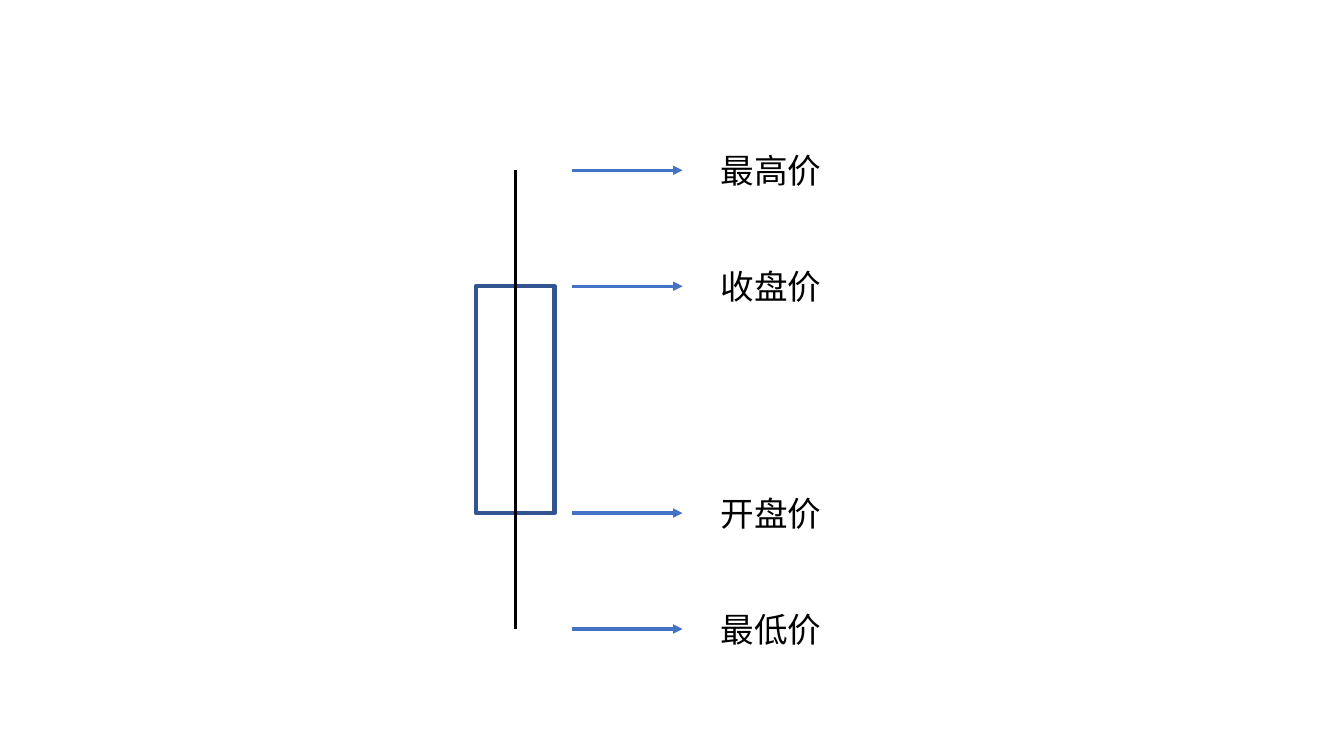
import pptx
import pptx.util
import pptx.dml.color
import pptx.enum.shapes
import pptx.enum.text
import pptx.oxml
import pptx.oxml.ns

PX = 9144


def color(code):
    return pptx.dml.color.RGBColor.from_string(code)


def add_tag(parent, tag, **attrs):
    node = parent.makeelement(pptx.oxml.ns.qn(tag), attrs)
    parent.append(node)
    return node


class Chart:
    font = "Noto Sans CJK SC"
    size = 24
    ink = "000000"
    paper = "FFFFFF"
    edge = "325491"
    blue = "4472C4"

    def __init__(self, deck):
        slide = deck.slides.add_slide(deck.slide_layouts[6])
        self.group = slide.shapes.add_group_shape().shapes

    def body(self, left, top, width, height):
        box = self.group.add_shape(
            pptx.enum.shapes.MSO_SHAPE.RECTANGLE,
            left * PX, top * PX, width * PX, height * PX)
        box.shadow.inherit = False
        box.fill.solid()
        box.fill.fore_color.rgb = color(self.paper)
        box.line.color.rgb = color(self.edge)
        box.line.width = pptx.util.Pt(3)

    def line(self, x1, y1, x2, y2, hue):
        line = self.group.add_connector(
            pptx.enum.shapes.MSO_CONNECTOR.STRAIGHT,
            x1 * PX, y1 * PX, x2 * PX, y2 * PX)
        line.line.color.rgb = color(hue)
        line.line.width = pptx.util.Pt(2.25)
        add_tag(line._element.spPr, "a:effectLst")
        return line

    def arrow(self, x1, x2, y):
        line = self.line(x1, y, x2, y, self.blue)
        add_tag(line.line._get_or_add_ln(), "a:tailEnd", type="triangle")

    def label(self, text, left, top, width, height):
        box = self.group.add_textbox(
            left * PX, top * PX, width * PX, height * PX)
        frame = box.text_frame
        frame.word_wrap = True
        frame.auto_size = pptx.enum.text.MSO_AUTO_SIZE.SHAPE_TO_FIT_TEXT
        frame.text = text
        para = frame.paragraphs[0]
        para.font.size = pptx.util.Pt(self.size)
        para.font.color.rgb = color(self.ink)
        para.font.name = self.font
        props = para._p.find(".//" + pptx.oxml.ns.qn("a:defRPr"))
        add_tag(props, "a:ea", typeface=self.font)


def main():
    deck = pptx.Presentation()
    deck.slide_width = 1333 * PX
    deck.slide_height = 750 * PX
    chart = Chart(deck)

    high, close, start, low = 169, 284, 509, 624
    chart.body(472, close, 78, start - close)
    chart.line(511, high, 511, low, chart.ink)
    prices = {"最高价": high, "收盘价": close, "开盘价": start, "最低价": low}
    for name, y in prices.items():
        chart.arrow(567, 677, y)
        chart.label(name, 705, y - 25, 156, 50)

    deck.save("out.pptx")


if __name__ == "__main__":
    main()
